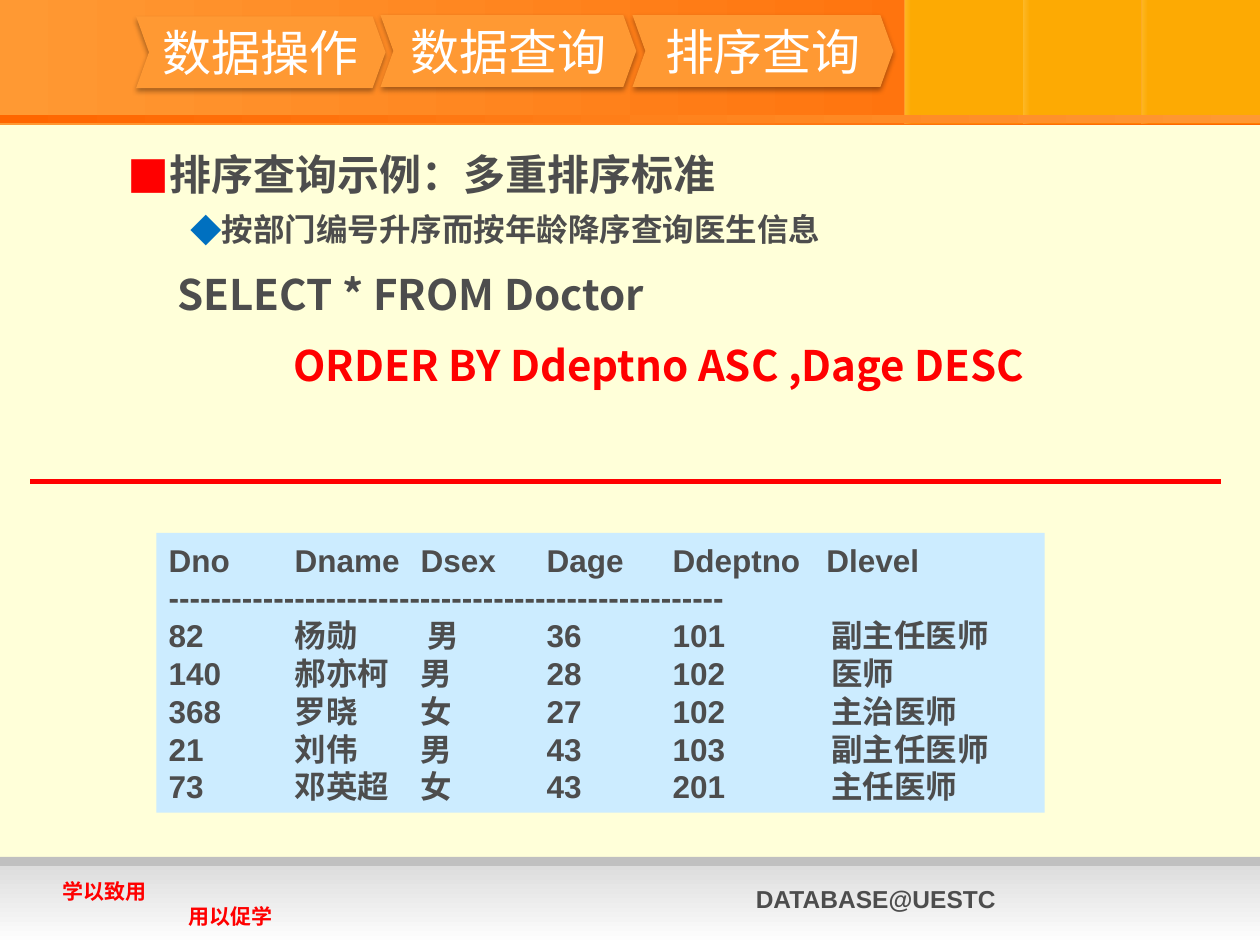
from lxml.etree import SubElement
from pptx import Presentation
from pptx.dml.color import RGBColor as RGB
from pptx.enum.shapes import MSO_CONNECTOR as LINK, MSO_SHAPE as SHAPE
from pptx.enum.text import MSO_ANCHOR as ANCHOR, PP_ALIGN as ALIGN
from pptx.oxml.ns import qn
from pptx.util import Inches, Pt

THEME = {
    "page": "FFFFD9", "orange": "FF9933", "deep": "FF6600", "gold": "FDAA03",
    "ink": "4D4D4D", "red": "FF0000", "blue": "0070C0", "panel": "CCECFF",
    "rule": "C0C0C0", "mist": "DDDDDD", "white": "FFFFFF",
    "cjk": "Noto Sans CJK SC", "latin": "Arial",
    "crumb": 28, "heading": 24, "text": 18, "footer": 14, "motto": 12,
}

deck = Presentation()
deck.slide_width, deck.slide_height = Inches(10), Inches(7.5)
COL, ROW = deck.slide_width / 10, deck.slide_height / 7.5  # 10 x 7.5 grid
slide = deck.slides.add_slide(deck.slide_layouts[1])
slide.background.fill.solid()
slide.background.fill.fore_color.rgb = RGB.from_string(THEME["page"])


def block(left, top, width, height, colors, angle=0, alphas=(), kind=SHAPE.RECTANGLE):
    """Borderless shape in one colour, or a gradient when two are given."""
    shape = slide.shapes.add_shape(
        kind, int(left * COL), int(top * ROW), int(width * COL), int(height * ROW))
    shape.shadow.inherit = False
    shape.line.fill.background()
    if len(colors) == 1:
        shape.fill.solid()
        shape.fill.fore_color.rgb = RGB.from_string(THEME[colors[0]])
        return shape
    shape.fill.gradient()
    shape.fill.gradient_angle = angle
    for stop, color in zip(shape.fill.gradient_stops, colors):
        stop.color.rgb = RGB.from_string(THEME[color])
    for color, alpha in zip(shape._element.spPr.iter(qn("a:srgbClr")), alphas):
        SubElement(color, qn("a:alpha"), val=str(alpha * 1000))
    return shape


def write(paragraph, text, size, color="ink", face="cjk", bold=True):
    """Add one formatted run, with the CJK face for Chinese characters."""
    run = paragraph.add_run()
    run.text = text
    look = {"name": THEME[face], "size": Pt(THEME[size]), "bold": bold}
    for key, value in look.items():
        setattr(run.font, key, value)
    run.font.color.rgb = RGB.from_string(THEME[color])
    SubElement(run._r.get_or_add_rPr(), qn("a:ea"), typeface=THEME["cjk"])


# Header band with gold tiles, each with a faint glint on its left edge
block(0, 0, 10, 0.99, ["orange", "deep"])
for tile in range(3):
    left = 7.18 + 0.94 * tile
    block(left, 0, 0.94, 0.98, ["gold"])
    block(left, 0, 0.05, 0.98, ["page", "gold"], alphas=(18, 15))
block(0, 0.91, 10, 0.07, ["deep", "orange"])

# Footer band
block(0, 6.8, 10, 0.29, ["rule"])
block(0, 6.87, 10, 0.63, ["mist", "white"], angle=270)

# Footer texts: (left, top, width, height, size, colour, face, lines)
footers = [
    (5.9, 6.97, 3.45, 0.34, "footer", "ink", "latin", ["DATABASE@UESTC"]),
    (0.4, 6.92, 2.0, 0.5, "motto", "red", "cjk", ["学以致用", "用以促学"]),
]
for left, top, width, height, size, color, face, lines in footers:
    frame = slide.shapes.add_textbox(
        int(left * COL), int(top * ROW), int(width * COL), int(height * ROW)).text_frame
    frame.word_wrap = True
    for step, line in enumerate(lines):
        paragraph = frame.add_paragraph() if step else frame.paragraphs[0]
        paragraph._p.get_or_add_pPr().set("marL", str(int(step * COL)))
        write(paragraph, line, size, color, face)

# Example and query: (text, size, colour, margin, hanging, space before, bullet, bullet colour)
example = [
    ("排序查询示例：多重排序标准", "heading", "ink", 0.81, -0.31, 0, "■", "red"),
    ("按部门编号升序而按年龄降序查询医生信息", "text", "ink", 1.25, -0.25, 6, "◆", "blue"),
    ("SELECT * FROM Doctor", "heading", "ink", 0.9, 0, 12, None, None),
    ("ORDER BY Ddeptno ASC ,Dage DESC", "heading", "red", 1.82, 0, 12, None, None),
]
body = slide.placeholders[1]
place = {"left": 0.41 * COL, "top": 1.13 * ROW, "width": 9.29 * COL, "height": 5.89 * ROW}
for key, value in place.items():
    setattr(body, key, int(value))
for row, (text, size, color, margin, hanging, before, bullet, tint) in enumerate(example):
    paragraph = body.text_frame.add_paragraph() if row else body.text_frame.paragraphs[0]
    props = paragraph._p.get_or_add_pPr()
    props.set("marL", str(int(margin * COL)))
    props.set("indent", str(int(hanging * COL)))
    if bullet:
        SubElement(SubElement(props, qn("a:buClr")), qn("a:srgbClr"), val=THEME[tint])
        SubElement(props, qn("a:buFont"), typeface=THEME["cjk"])
        SubElement(props, qn("a:buChar"), char=bullet)
    else:
        SubElement(props, qn("a:buNone"))
    paragraph.space_before = Pt(before)
    write(paragraph, text, size, color)
slide.shapes._spTree.append(body._element)

# Breadcrumb chevrons; the last one carries the slide title
title = slide.shapes.title
crumbs = [("数据操作", 1.08, 0.13, 1.98), ("数据查询", 3.02, 0.12, 2.03),
          ("排序查询", 5.02, 0.12, 2.07)]
for topic, left, top, width in crumbs:
    crumb = block(left, top, width, 0.57, ["orange"], kind=SHAPE.CHEVRON)
    crumb.adjustments[0] = 0.18
    shadow = SubElement(
        crumb._element.spPr.find(qn("a:effectLst")), qn("a:outerShdw"),
        blurRad=str(Pt(3.1)), dist=str(Pt(1.8)), dir="5400000", rotWithShape="0")
    SubElement(SubElement(shadow, qn("a:srgbClr"), val="000000"), qn("a:alpha"), val="35000")
    holder = crumb
    if topic == crumbs[-1][0]:
        holder = title
        for key in ("left", "top", "width", "height"):
            setattr(title, key, getattr(crumb, key))
        slide.shapes._spTree.append(title._element)
    frame = holder.text_frame
    frame.word_wrap = False
    frame.vertical_anchor = ANCHOR.MIDDLE
    frame.paragraphs[0].alignment = ALIGN.CENTER
    write(frame.paragraphs[0], topic, "crumb", "white", bold=False)

# Divider between query and result
divider = slide.shapes.add_connector(
    LINK.STRAIGHT, int(0.24 * COL), int(3.82 * ROW), int(9.69 * COL), int(3.82 * ROW))
divider.line.color.rgb = RGB.from_string(THEME["red"])
divider.line.width = Pt(3)
SubElement(divider._element.spPr, qn("a:effectLst"))

# Query result as console output with tab-aligned fields
result = [
    ("Dno", "Dname", "Dsex", "Dage", "Ddeptno", "Dlevel"),
    ("-" * 53,),
    ("82", "杨勋", " 男", "36", "101", "副主任医师"),
    ("140", "郝亦柯", "男", "28", "102", "医师"),
    ("368", "罗晓", "女", "27", "102", "主治医师"),
    ("21", "刘伟", "男", "43", "103", "副主任医师"),
    ("73", "邓英超", "女", "43", "201", "主任医师"),
]
frame = block(1.24, 4.23, 7.05, 2.22, ["panel"]).text_frame
frame.word_wrap = True
frame.vertical_anchor = ANCHOR.MIDDLE
for row, fields in enumerate(result):
    paragraph = frame.add_paragraph() if row else frame.paragraphs[0]
    tabs = SubElement(paragraph._p.get_or_add_pPr(), qn("a:tabLst"))
    for stop in (1, 2, 3, 4, 5.26 if row else 5.22):
        SubElement(tabs, qn("a:tab"), pos=str(int(stop * COL)), algn="l")
    paragraph.alignment = ALIGN.LEFT
    write(paragraph, "\t".join(fields), "text", face="latin")

deck.save("out.pptx")
